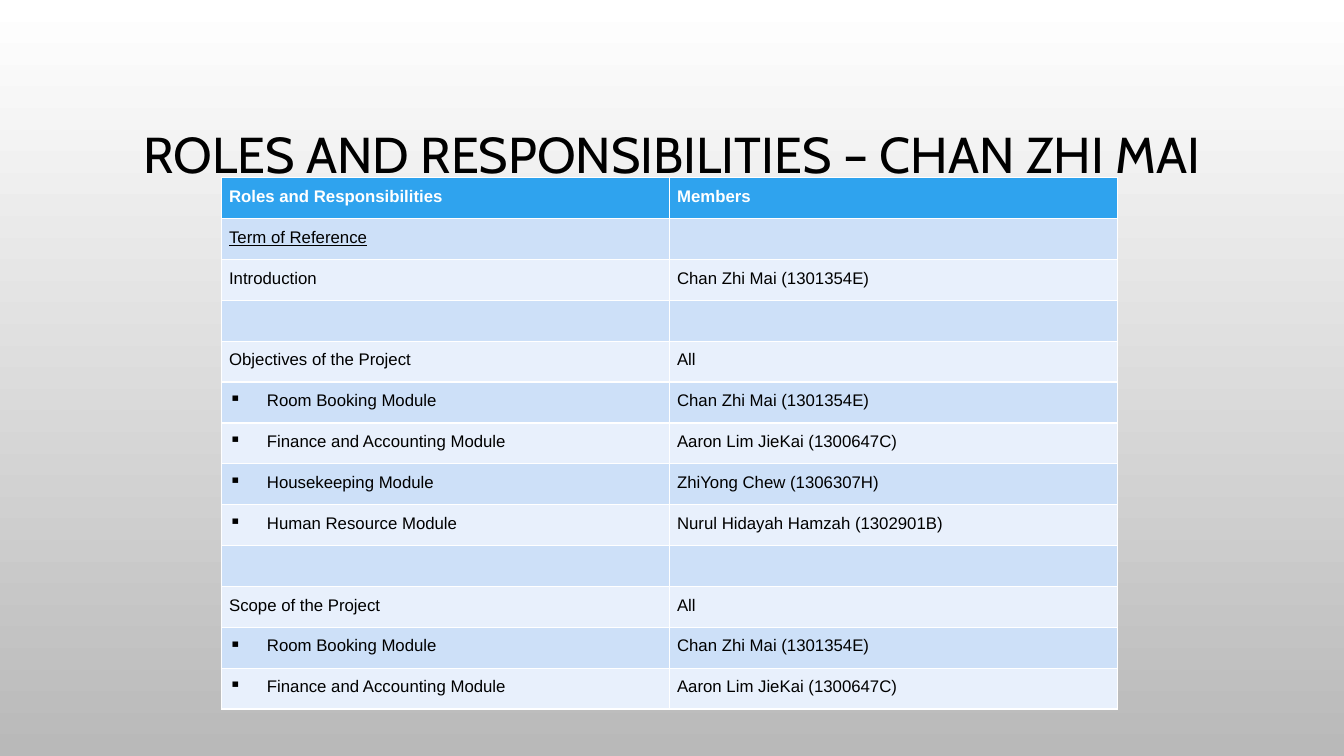
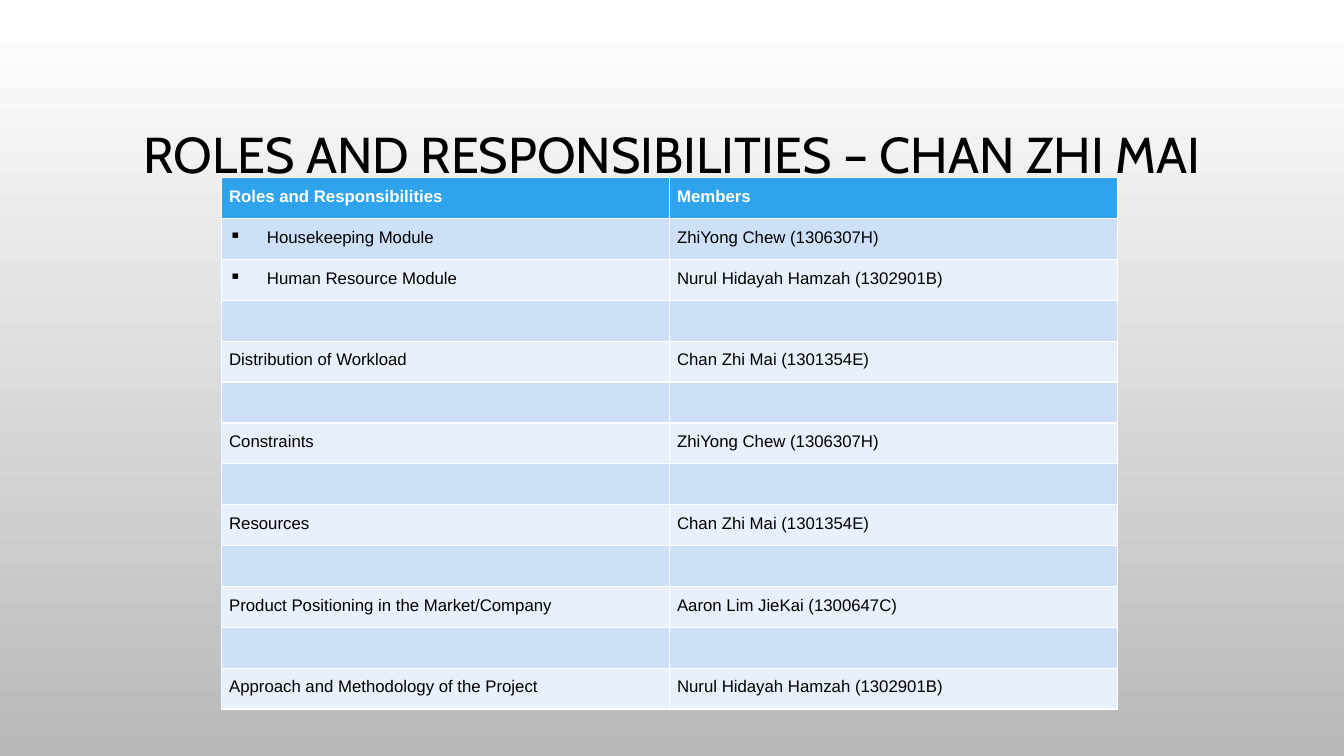
import pptx
import pptx.util
from lxml import etree
from pptx.dml.color import RGBColor
from pptx.enum.text import MSO_ANCHOR, MSO_AUTO_SIZE, PP_ALIGN
from pptx.oxml.ns import qn

Pt = pptx.util.Pt

COLORS = {
    "top": "FFFFFF", "bottom": "B9B9B9",
    "text": "000000", "header_text": "FFFFFF",
    "header": "2FA3EE", "odd": "CDE0F8", "even": "E8F0FC",
}
TITLE_FONT, TABLE_FONT = "Cabin", "Arial"
TITLE_BOX = (72, 49, 816, 126)
TABLE_LEFT, TABLE_TOP, COLUMN_WIDTH, ROW_HEIGHT = 158.25, 126.9, 320, 29.2
CELL_MARGIN, BULLET_INDENT = 5.4, 27

TITLE = "ROLES AND RESPONSIBILITIES – CHAN ZHI MAI"
HEADINGS = ("Roles and Responsibilities", "Members")
CHAN = "Chan Zhi Mai (1301354E)"
AARON = "Aaron Lim JieKai (1300647C)"
ZHIYONG = "ZhiYong Chew (1306307H)"
NURUL = "Nurul Hidayah Hamzah (1302901B)"

# Each row: task, member, task format
GAP = ("", "", {})
BULLET, UNDERLINE = {"bullet": "▪"}, {"underline": True}
BOOKING = ("Room Booking Module", CHAN, BULLET)
FINANCE = ("Finance and Accounting Module", AARON, BULLET)
HOUSEKEEPING = ("Housekeeping Module", ZHIYONG, BULLET)
HUMAN_RESOURCE = ("Human Resource Module", NURUL, BULLET)
ROLES_BY_SLIDE = [
    [
        ("Term of Reference", "", UNDERLINE),
        ("Introduction", CHAN, {}),
        GAP,
        ("Objectives of the Project", "All", {}),
        BOOKING, FINANCE, HOUSEKEEPING, HUMAN_RESOURCE,
        GAP,
        ("Scope of the Project", "All", {}),
        BOOKING, FINANCE,
    ],
    [
        HOUSEKEEPING, HUMAN_RESOURCE,
        GAP,
        ("Distribution of Workload", CHAN, {}),
        GAP,
        ("Constraints", ZHIYONG, {}),
        GAP,
        ("Resources", CHAN, {}),
        GAP,
        ("Product Positioning in the Market/Company", AARON, {}),
        GAP,
        ("Approach and Methodology of the Project", NURUL, {}),
    ],
]


def rgb(name):
    return RGBColor.from_string(COLORS[name])


def write(frame, text, *, size=12, font=TABLE_FONT, color="text", bold=False,
          underline=False, align=PP_ALIGN.LEFT, spacing=1.5, bullet=None):
    paragraph = frame.paragraphs[0]
    paragraph.alignment = align
    paragraph.line_spacing = spacing
    paragraph.font.size = Pt(size)
    if bullet:
        properties = paragraph._p.get_or_add_pPr()
        properties.set("marL", str(Pt(BULLET_INDENT)))
        properties.set("indent", str(-Pt(BULLET_INDENT)))
        etree.SubElement(properties, qn("a:buChar")).set("char", bullet)
    if text:
        run = paragraph.add_run()
        run.text = text
        run.font.size, run.font.name = Pt(size), font
        run.font.bold, run.font.underline = bold, underline
        run.font.color.rgb = rgb(color)


def fill_cell(cell, text, fill, **text_format):
    cell.margin_left = cell.margin_right = Pt(CELL_MARGIN)
    cell.margin_top = cell.margin_bottom = 0
    cell.fill.solid()
    cell.fill.fore_color.rgb = rgb(fill)
    write(cell.text_frame, text, **text_format)


def style_master(master):
    background = master.background.fill
    background.gradient()
    background.gradient_angle = 270
    for stop, name in zip(background.gradient_stops, ("top", "bottom")):
        stop.color.rgb = rgb(name)


def add_title(slide):
    title = slide.shapes.title
    title.left, title.top, title.width, title.height = map(Pt, TITLE_BOX)
    frame = title.text_frame
    frame.word_wrap = True
    frame.auto_size = MSO_AUTO_SIZE.NONE
    frame.vertical_anchor = MSO_ANCHOR.MIDDLE
    write(frame, TITLE, size=36, font=TITLE_FONT, align=PP_ALIGN.CENTER, spacing=0.9)


def add_roles_table(slide, roles):
    row_count, column_count = len(roles) + 1, len(HEADINGS)
    table = slide.shapes.add_table(
        row_count, column_count, Pt(TABLE_LEFT), Pt(TABLE_TOP),
        Pt(COLUMN_WIDTH * column_count), Pt(ROW_HEIGHT * row_count)).table
    for row in table.rows:
        row.height = Pt(ROW_HEIGHT)
    for column, heading in enumerate(HEADINGS):
        fill_cell(table.cell(0, column), heading, "header", color="header_text", bold=True)
    for number, (task, member, task_format) in enumerate(roles, start=1):
        band = "odd" if number % 2 else "even"
        fill_cell(table.cell(number, 0), task, band, **task_format)
        fill_cell(table.cell(number, 1), member, band)


def main():
    deck = pptx.Presentation()
    deck.slide_width, deck.slide_height = Pt(960), Pt(540)
    style_master(deck.slide_master)
    title_only = deck.slide_layouts.get_by_name("Title Only")
    for roles in ROLES_BY_SLIDE:
        slide = deck.slides.add_slide(title_only)
        add_title(slide)
        add_roles_table(slide, roles)
    deck.save("out.pptx")


if __name__ == "__main__":
    main()
